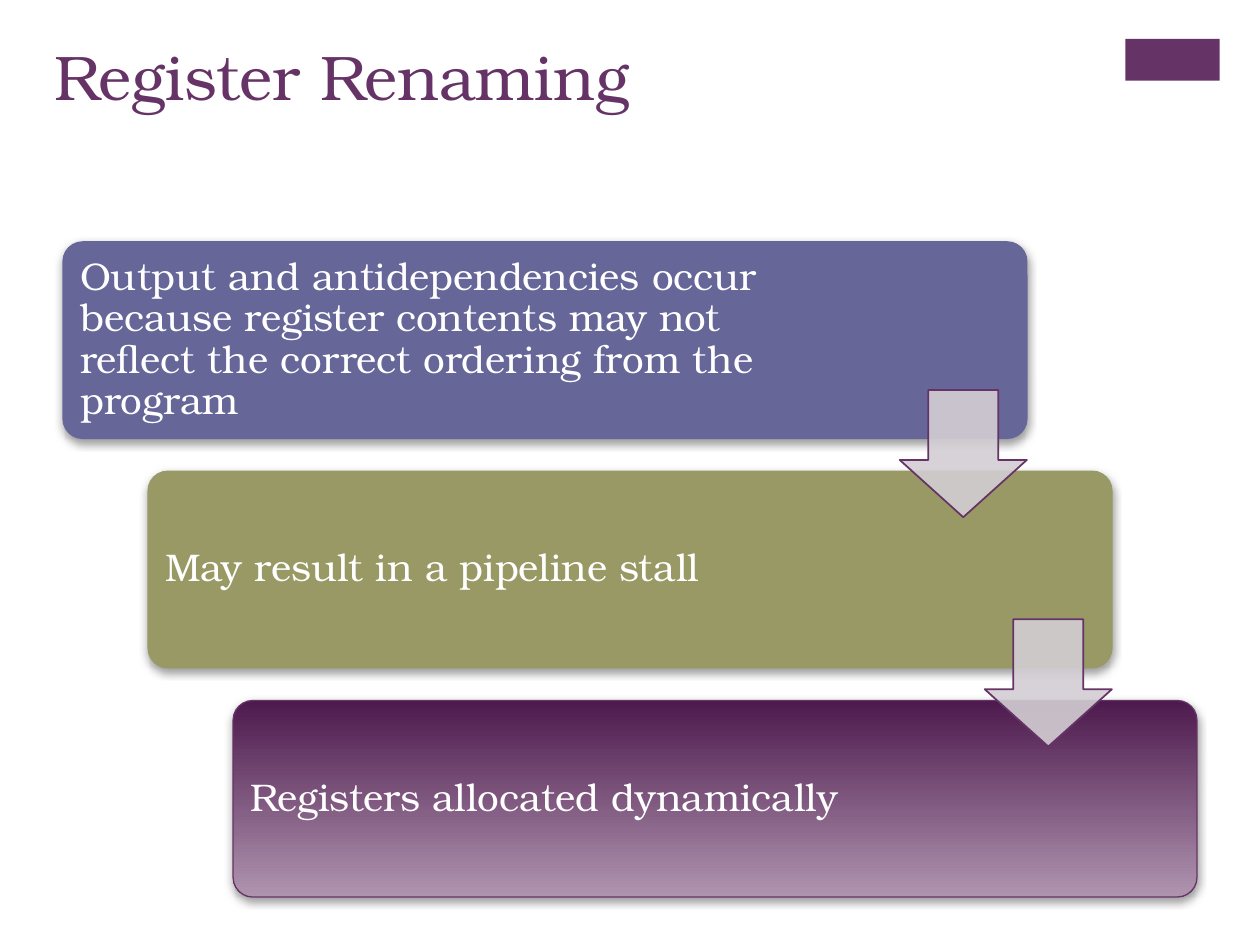
from lxml.etree import SubElement
from pptx import Presentation
from pptx.dml.color import RGBColor
from pptx.enum.shapes import MSO_SHAPE
from pptx.enum.text import MSO_ANCHOR, PP_ALIGN
from pptx.oxml.ns import qn
from pptx.util import Pt

FONT = "TeX Gyre Bonum"
PLUM = "663366"
STEPS = [
    # wording, fill colours, line colour, wording width
    ("Output and antidependencies occur because register contents may not "
     "reflect the correct ordering from the program", ["666699"], "666699", 429.84),
    ("May result in a pipeline stall", ["999966"], "999966", 422.64),
    ("Registers allocated dynamically", ["4D1A4D", "AF94AF"], PLUM, 422.64),
]
CARD_WIDTH, CARD_HEIGHT = 550.8, 112.32
ARROW_SIZE, ARROW_DROP = 72.72, 84.6
TEXT_INSET = 3.3


def rgb(code):
    return RGBColor.from_string(code)


def apply(target, formats):
    for name, value in formats.items():
        setattr(target, name, value)


def write(frame, wording, size, colour, frame_format, paragraph_format):
    frame.text = wording
    apply(frame, {"word_wrap": True, **frame_format})
    paragraph = frame.paragraphs[0]
    apply(paragraph, paragraph_format)
    font = paragraph.runs[0].font
    apply(font, {"name": FONT, "size": Pt(size), "bold": False})
    font.color.rgb = rgb(colour)


def add_block(slide, preset, box, fills, line=None, line_width=0.75, adjustments=()):
    """Add a preset shape with one fill colour, or a top-to-bottom gradient of two."""
    block = slide.shapes.add_shape(preset, *map(Pt, box))
    block.shadow.inherit = False
    for index, value in enumerate(adjustments):
        block.adjustments[index] = value
    if len(fills) == 1:
        block.fill.solid()
        block.fill.fore_color.rgb = rgb(fills[0])
    else:
        block.fill.gradient()
        block.fill.gradient_angle = 270
        for stop, colour in zip(block.fill.gradient_stops, fills):
            stop.color.rgb = rgb(colour)
    if line:
        block.line.color.rgb = rgb(line)
        block.line.width = Pt(line_width)
    else:
        block.line.fill.background()
    return block


def set_alpha(colour_element, percent):
    SubElement(colour_element, qn("a:alpha"), val=str(percent * 1000))


def drop_shadow(block):
    effects = block._element.spPr.find(qn("a:effectLst"))
    shadow = SubElement(effects, qn("a:outerShdw"), blurRad=str(Pt(5)), dist=str(Pt(2)),
                        dir="5400000", rotWithShape="0")
    set_alpha(SubElement(shadow, qn("a:srgbClr"), val="808080"), 75)


def add_title(slide, box, wording):
    title = slide.shapes.title
    apply(title, dict(zip(("left", "top", "width", "height"), map(Pt, box))))
    write(title.text_frame, wording, 36, PLUM,
          {"vertical_anchor": MSO_ANCHOR.TOP}, {"alignment": PP_ALIGN.LEFT})


def add_step(slide, box, wording, fills, line, text_width):
    left, top, width, height = box
    card = add_block(slide, MSO_SHAPE.ROUNDED_RECTANGLE, box, fills, line,
                     adjustments=[0.1])
    drop_shadow(card)
    label = slide.shapes.add_textbox(Pt(left + TEXT_INSET), Pt(top + TEXT_INSET),
                                     Pt(text_width), Pt(height - 2 * TEXT_INSET))
    margins = {f"margin_{side}": Pt(6.6) for side in ("left", "top", "right", "bottom")}
    write(label.text_frame, wording, 22, "FFFFFF",
          {"vertical_anchor": MSO_ANCHOR.MIDDLE, **margins},
          {"alignment": PP_ALIGN.LEFT, "line_spacing": 0.9})


def add_arrow(slide, card_box):
    """Add the arrow that leads from a card's lower right corner to the next card."""
    left, top, width, _ = card_box
    box = (left + width - ARROW_SIZE, top + ARROW_DROP, ARROW_SIZE, ARROW_SIZE)
    arrow = add_block(slide, MSO_SHAPE.DOWN_ARROW, box, ["D3CED3"], PLUM, 1,
                      adjustments=[0.55, 0.45])
    set_alpha(arrow._element.spPr.find(qn("a:solidFill"))[0], 90)


def add_staircase(slide, box):
    """Spread the steps evenly from the top left to the bottom right of the box."""
    left, top, width, height = box
    gaps = len(STEPS) - 1
    step_x, step_y = (width - CARD_WIDTH) / gaps, (height - CARD_HEIGHT) / gaps
    cards = [(left + i * step_x, top + i * step_y, CARD_WIDTH, CARD_HEIGHT)
             for i in range(len(STEPS))]
    for card, step in zip(cards, STEPS):
        add_step(slide, card, *step)
    for card in cards[:-1]:
        add_arrow(slide, card)


def main():
    deck = Presentation()
    deck.slide_width, deck.slide_height = Pt(720), Pt(540)
    slide = deck.slides.add_slide(deck.slide_layouts[5])
    add_block(slide, MSO_SHAPE.RECTANGLE, (643, 22.3, 54, 23.8), [PLUM])
    add_title(slide, (23.8, 18, 594.7, 87.8), "Register Renaming")
    add_staircase(slide, (36, 138.24, 648, 374.4))
    deck.save("out.pptx")


if __name__ == "__main__":
    main()
